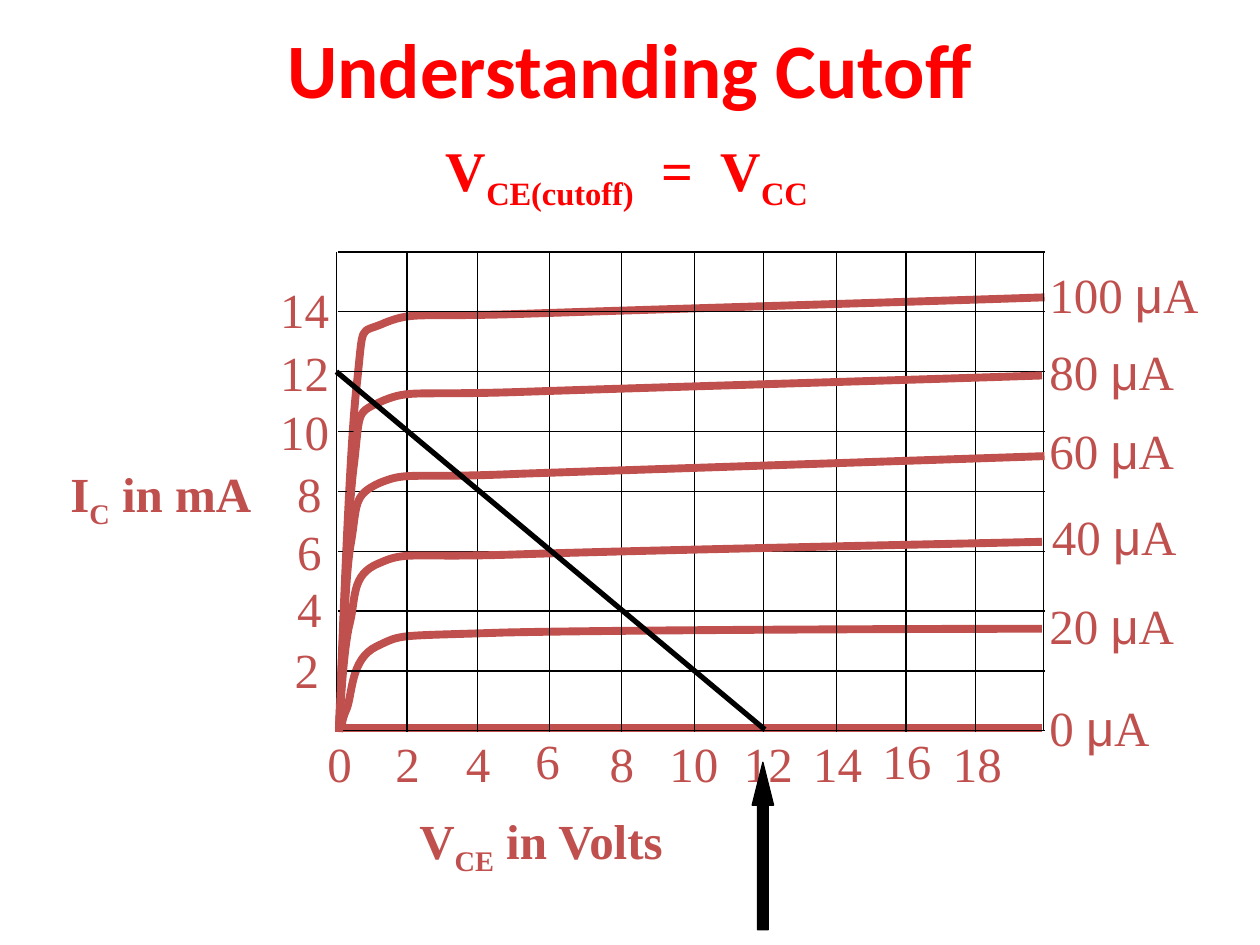
from lxml import etree
from pptx import Presentation
from pptx.dml.color import RGBColor
from pptx.enum.shapes import MSO_CONNECTOR, MSO_SHAPE
from pptx.enum.text import MSO_ANCHOR, PP_ALIGN
from pptx.oxml.ns import qn
from pptx.util import Pt

PX = 9144  # EMU, so 100 px make one inch
STRAIGHT = MSO_CONNECTOR.STRAIGHT
LEFT_ARROW = MSO_SHAPE.LEFT_ARROW
CENTER = PP_ALIGN.CENTER
TOP = MSO_ANCHOR.TOP

SERIF = "Times New Roman"
RED, BRICK, BLACK = "FF0000", "C0504D", "000000"
LABEL_HEIGHT = 57
SUBSCRIPT = "-25000"

# All chart positions are relative to the top left corner of the grid.
COLUMNS = [-1, 55, 111, 168, 225, 283, 338, 396, 451, 506, 560]
ROW_COUNT = 8
VOLT_CENTERS = [2, 56, 112, 167, 226, 283, 342, 397, 452, 508]
VOLT_TOPS = [377, 377, 377, 375, 377, 377, 377, 377, 375, 377]
CURRENT_CENTERS = [-24, -22, -22, -22, -26, -26, -26]
CURRENT_TOPS = [303, 254, 209, 163, 114, 67, 17]

# Base current: (label left, label top, label width, points);
# two points make a line, more make a chain of Bezier segments.
CURVES = {
    20: (555, 268, 119, [
        (3, 380), (4, 377), (2, 374), (7, 363), (12, 351), (10, 323), (31, 313),
        (52, 303), (44, 305), (132, 302), (220, 300), (470, 299), (559, 299)]),
    0: (555, 349, 100, [(1, 378), (559, 378)]),
    100: (555, 5, 139, [
        (1, 378), (3, 333), (9, 160), (15, 107), (21, 53), (16, 66), (38, 56),
        (61, 47), (63, 52), (150, 49), (237, 46), (475, 39), (561, 36)]),
    80: (555, 66, 119, [
        (1, 380), (3, 344), (7, 212), (13, 168), (18, 125), (14, 128), (36, 118),
        (58, 109), (60, 114), (147, 111), (234, 108), (473, 101), (559, 98)]),
    60: (555, 129, 119, [
        (1, 380), (3, 355), (5, 266), (10, 234), (16, 201), (11, 193), (34, 183),
        (56, 174), (57, 180), (145, 176), (233, 173), (474, 165), (561, 162)]),
    40: (557, 197, 119, [
        (1, 381), (2, 367), (4, 320), (9, 297), (15, 275), (10, 256), (33, 247),
        (55, 237), (56, 243), (144, 240), (232, 237), (473, 232), (559, 230)]),
}
BEHIND_GRID = (20, 0, 100)
BEFORE_GRID = (80, 60, 40)


def color(hex_string):
    return RGBColor.from_string(hex_string)


def emu(*lengths):
    return [round(length * PX) for length in lengths]


def add_run(paragraph, text, size, hex_string, font=SERIF, bold=False, subscript=False):
    run = paragraph.add_run()
    run.text = text
    run.font.name = font
    run.font.size = Pt(size)
    run.font.bold = bold
    run.font.color.rgb = color(hex_string)
    if subscript:
        run._r.get_or_add_rPr().set("baseline", SUBSCRIPT)


def add_label(slide, box):
    """Add an empty one-line text box and return its paragraph."""
    frame = slide.shapes.add_textbox(*emu(*box)).text_frame
    frame.word_wrap = False
    return frame.paragraphs[0]


def add_formula(slide, box, parts, size, hex_string):
    """Add bold text in which every second part is a subscript."""
    paragraph = add_label(slide, box)
    for index, part in enumerate(parts):
        add_run(paragraph, part, size, hex_string, bold=True, subscript=index % 2 == 1)


def add_line(slide, start, end, hex_string, weight):
    line = slide.shapes.add_connector(STRAIGHT, *emu(*start, *end))
    line.line.color.rgb = color(hex_string)
    line.line.width = Pt(weight)
    etree.SubElement(line._element.spPr, qn("a:effectLst"))


def add_open_outline(slide, points, hex_string, weight):
    corners = [emu(*point) for point in points]
    builder = slide.shapes.build_freeform(*corners[0])
    builder.add_line_segments(corners[1:], close=False)
    outline = builder.convert_to_shape()
    outline.shadow.inherit = False
    outline.fill.background()
    outline.line.color.rgb = color(hex_string)
    outline.line.width = Pt(weight)
    return outline


def bend_segments(outline):
    """Turn each three straight segments into one cubic Bezier segment."""
    segments = list(outline._element.iter(qn("a:lnTo")))
    for first in range(0, len(segments), 3):
        curve = etree.Element(qn("a:cubicBezTo"))
        segments[first].addprevious(curve)
        for segment in segments[first:first + 3]:
            curve.append(segment[0])
            segment.getparent().remove(segment)


def add_collector_curve(slide, left, top, current):
    label_left, label_top, label_width, points = CURVES[current]
    placed = [(left + x, top + y) for x, y in points]
    if len(placed) == 2:
        add_line(slide, *placed, BRICK, 4.5)
    else:
        bend_segments(add_open_outline(slide, placed, BRICK, 4.5))
    paragraph = add_label(
        slide, (left + label_left, top + label_top, label_width, LABEL_HEIGHT))
    for text, font in ((f"{current} ", SERIF), ("μ", "Arial"), ("A", SERIF)):
        add_run(paragraph, text, 28, BRICK, font)


def add_axis_labels(slide, left, top):
    volts = zip(range(0, 20, 2), VOLT_CENTERS, VOLT_TOPS)
    currents = zip(range(2, 16, 2), CURRENT_CENTERS, CURRENT_TOPS)
    for value, center, label_top in [*volts, *currents]:
        width = 40 if value < 10 else 59
        box = (left + center - width / 2, top + label_top, width, LABEL_HEIGHT)
        add_run(add_label(slide, box), str(value), 28, BRICK)
    add_formula(slide, (left + 55, top + 438, 223, LABEL_HEIGHT),
                ("V", "CE", " in Volts"), 28, BRICK)
    add_formula(slide, (left - 222, top + 163, 167, LABEL_HEIGHT),
                ("I", "C", " in mA"), 28, BRICK)


def add_grid(slide, left, top, width, height):
    for row in range(ROW_COUNT + 1):
        y = top + row * height / ROW_COUNT
        add_line(slide, (left, y), (left + width, y), BLACK, 0.75)
    for column in COLUMNS:
        overhang = 0 if column in (COLUMNS[0], COLUMNS[-1]) else 1
        x = left + column
        add_line(slide, (x, top + overhang), (x, top + height + overhang), BLACK, 0.75)


def add_cutoff_arrow(slide, left, top, length, thickness):
    """Add an arrow that is mirrored and turned to point upwards."""
    arrow = slide.shapes.add_shape(LEFT_ARROW, *emu(left, top, length, thickness))
    arrow.rotation = 270
    arrow._element.spPr.xfrm.set("flipH", "1")
    arrow.adjustments[0] = 0.5
    arrow.adjustments[1] = 2
    arrow.shadow.inherit = False
    arrow.fill.solid()
    arrow.fill.fore_color.rgb = color(BLACK)
    arrow.line.color.rgb = color(BLACK)
    arrow.line.width = Pt(0.75)


def add_characteristics(slide, left, top, width, height):
    """Draw the collector curves with their grid, load line and cutoff arrow."""
    add_axis_labels(slide, left, top)
    for current in BEHIND_GRID:
        add_collector_curve(slide, left, top, current)
    add_grid(slide, left, top, width, height)
    for current in BEFORE_GRID:
        add_collector_curve(slide, left, top, current)
    load_line = [(left - 1, top + 95), (left + 339, top + 379)]
    add_open_outline(slide, load_line, BLACK, 3)
    add_cutoff_arrow(slide, left + 271, top + 463, 133, 17)


def add_title(slide, left, top, width, height):
    title = slide.shapes.title
    title.left, title.top, title.width, title.height = emu(left, top, width, height)
    title.text_frame.vertical_anchor = TOP
    paragraph = title.text_frame.paragraphs[0]
    paragraph.alignment = CENTER
    add_run(paragraph, "Understanding Cutoff", 44, RED, "Calibri", bold=True)


def main():
    presentation = Presentation()
    presentation.slide_width, presentation.slide_height = emu(1000, 750)
    slide = presentation.slides.add_slide(presentation.slide_layouts[5])
    add_characteristics(slide, 268, 200, 561, 380)
    add_formula(slide, (344, 103, 329, 63), ("V", "CE(cutoff)", "  =  V", "CC"), 32, RED)
    add_title(slide, 50, 12, 900, 93)
    presentation.save("out.pptx")


if __name__ == "__main__":
    main()
